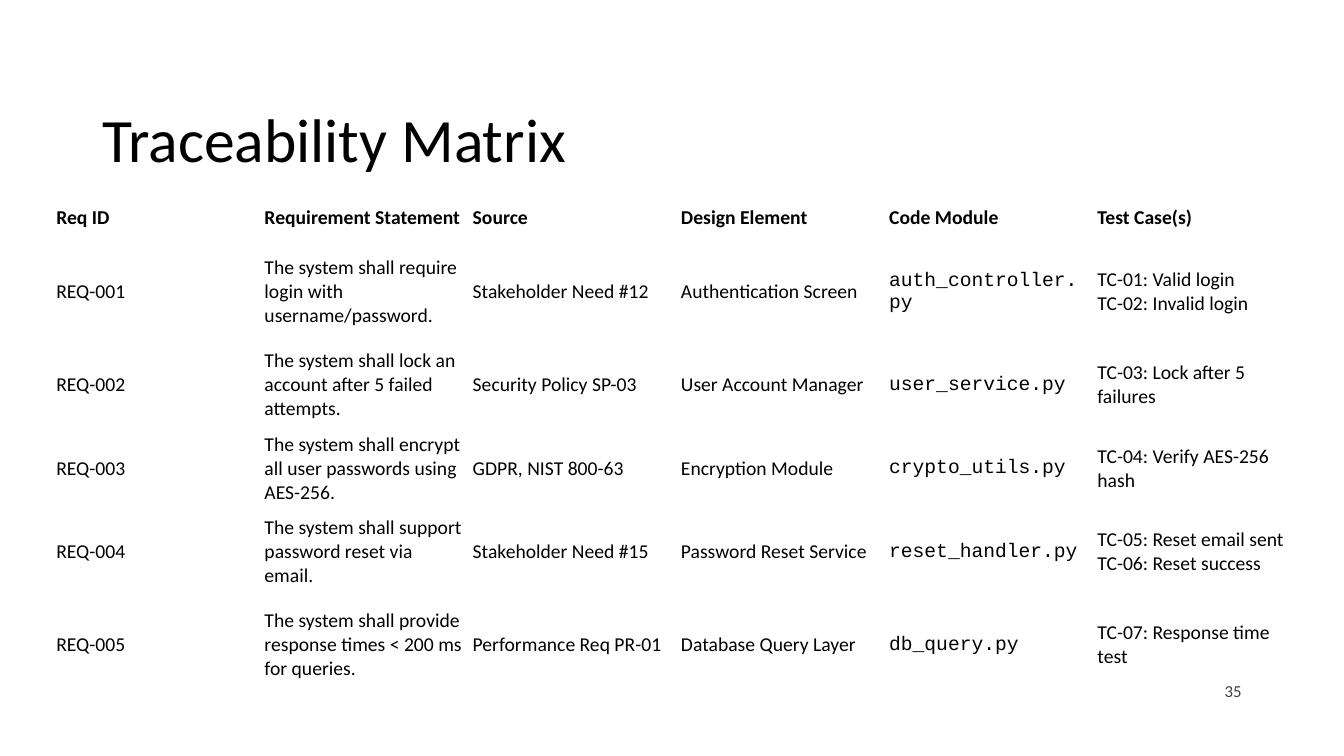
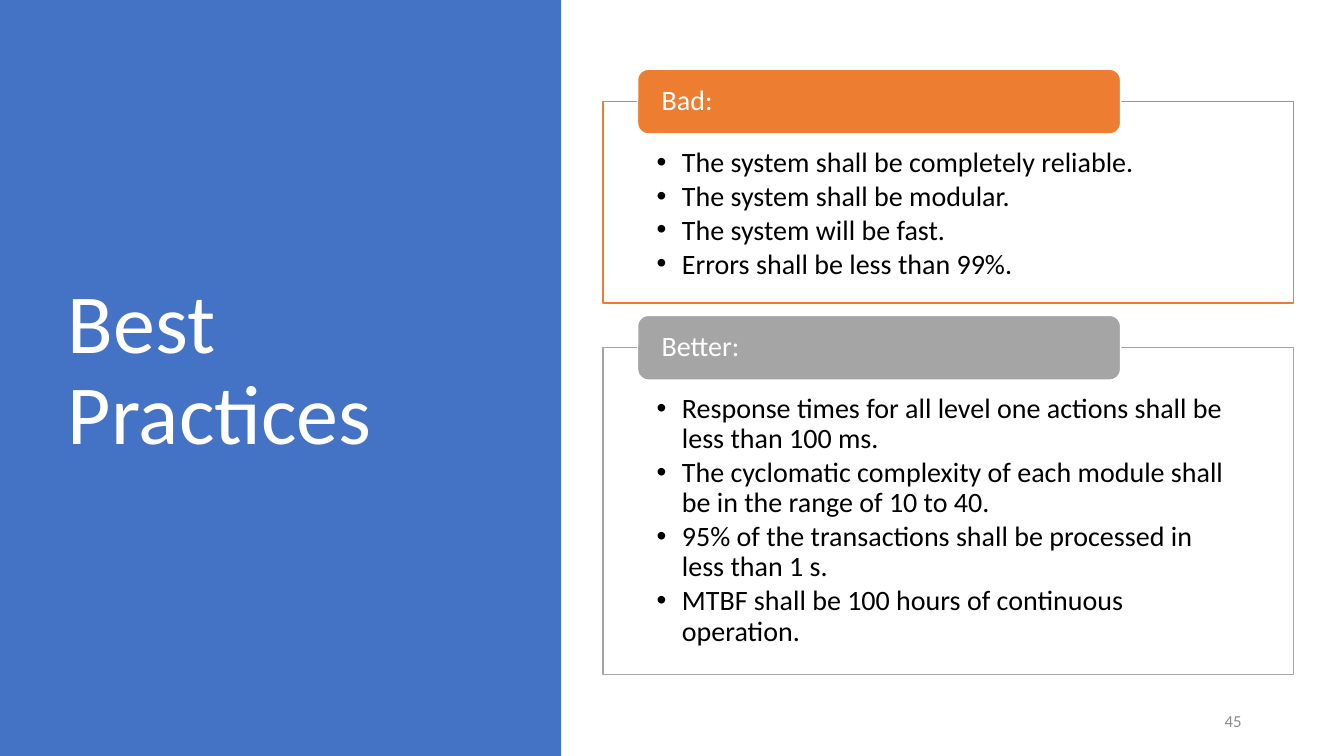
import pptx
import pptx.dml.color
import pptx.enum.shapes
import pptx.enum.text
import pptx.oxml.ns
import pptx.util
from lxml import etree

RGBColor = pptx.dml.color.RGBColor
Anchor = pptx.enum.text.MSO_ANCHOR
Align = pptx.enum.text.PP_ALIGN
Shapes = pptx.enum.shapes.MSO_SHAPE

BLACK = RGBColor(0x00, 0x00, 0x00)
WHITE = RGBColor(0xFF, 0xFF, 0xFF)
BLUE = RGBColor(0x44, 0x72, 0xC4)
ORANGE = RGBColor(0xED, 0x7D, 0x31)
GREY = RGBColor(0xA5, 0xA5, 0xA5)
DARK_GREY = RGBColor(0x40, 0x40, 0x40)
MID_GREY = RGBColor(0x8C, 0x8C, 0x8C)

# The slide is a grid of 160 columns by 90 rows of square cells
COLUMNS, ROWS = 160, 90
CELL = pptx.util.Inches(7.5) / ROWS
TEXT_INSETS = (1.2, 0.6, 1.2, 0.6)


def grid(*lengths):
    return [round(length * CELL) for length in lengths]


class Deck:
    """Holds the shared style and the slide being built."""

    body_font = "Calibri"
    code_font = "Courier New"

    def __init__(self):
        self.presentation = pptx.Presentation()
        self.presentation.slide_width, self.presentation.slide_height = grid(COLUMNS, ROWS)
        self.slide = None

    def new_slide(self):
        self.slide = self.presentation.slides.add_slide(self.presentation.slide_layouts[6])

    def style(self, paragraph, size, color, bold=False, font=body_font):
        paragraph.font.name = font
        paragraph.font.size = pptx.util.Pt(size)
        paragraph.font.bold = bold
        paragraph.font.color.rgb = color

    def fill_text(self, frame, lines, size, color, anchor=Anchor.MIDDLE, insets=TEXT_INSETS,
                  align=Align.LEFT, spacing=0.9, after=0, bullets=False):
        frame.word_wrap = True
        frame.vertical_anchor = anchor
        (frame.margin_left, frame.margin_top,
         frame.margin_right, frame.margin_bottom) = grid(*insets)
        for index, line in enumerate(lines):
            paragraph = frame.add_paragraph() if index else frame.paragraphs[0]
            paragraph.text = line
            if bullets:
                self.bullet(paragraph)
            paragraph.alignment = align
            paragraph.line_spacing = spacing
            paragraph.space_after = pptx.util.Pt(after)
            self.style(paragraph, size, color)

    def bullet(self, paragraph):
        properties = paragraph._p.get_or_add_pPr()
        indent = grid(3)[0]
        properties.set("marL", str(indent))
        properties.set("indent", str(-indent))
        qualified = pptx.oxml.ns.qn
        etree.SubElement(properties, qualified("a:buFont"), typeface="Arial")
        etree.SubElement(properties, qualified("a:buChar"), char="•")

    def text(self, box, line, size, color, **options):
        shape = self.slide.shapes.add_textbox(*grid(*box))
        self.fill_text(shape.text_frame, [line], size, color, **options)

    def title(self, box, line, size=44, color=BLACK):
        self.text(box, line, size, color)

    def page_number(self, number, top, color):
        self.text((113, top, 36, 4.8), number, 12, color,
                  align=Align.RIGHT, spacing=1, after=6)

    def box(self, kind, box, fill, line=None):
        shape = self.slide.shapes.add_shape(kind, *grid(*box))
        shape.shadow.inherit = False
        shape.fill.solid()
        shape.fill.fore_color.rgb = fill
        if line is None:
            shape.line.fill.background()
        else:
            shape.line.color.rgb = line
            shape.line.width = pptx.util.Pt(1)
        return shape

    def panel(self, top, height, heading, lines, color):
        left, tab_height = 71.8, 7.7
        frame = self.box(Shapes.RECTANGLE, (left, top, 82.2, height), WHITE, color)
        self.fill_text(frame.text_frame, lines, 20, BLACK, anchor=Anchor.TOP,
                       insets=(6.38, 5.54, 6.38, 1.9), after=2.6, bullets=True)
        # The heading tab straddles the top edge of the frame
        tab = self.box(Shapes.ROUNDED_RECTANGLE,
                       (left + 4.1, top - tab_height / 2, 57.5, tab_height), color, WHITE)
        self.fill_text(tab.text_frame, [heading], 20, WHITE, insets=(2.5, 0, 2.5, 0))

    def table(self, left, top, column_width, row_heights, rows, code_column):
        count = len(rows[0])
        table = self.slide.shapes.add_table(
            len(rows), count,
            *grid(left, top, column_width * count, sum(row_heights))).table
        table.first_row = table.horz_banding = False
        for column in table.columns:
            column.width = grid(column_width)[0]
        for row_index, (row, height) in enumerate(zip(rows, row_heights)):
            table.rows[row_index].height = grid(height)[0]
            for column_index, value in enumerate(row):
                cell = table.cell(row_index, column_index)
                cell.fill.background()
                cell.vertical_anchor = Anchor.MIDDLE
                cell.margin_left = cell.margin_right = grid(0.6)[0]
                cell.margin_top = cell.margin_bottom = grid(0.36)[0]
                paragraph = cell.text_frame.paragraphs[0]
                paragraph.text = value
                is_code = row_index > 0 and column_index == code_column
                self.style(paragraph, 14, BLACK, bold=row_index == 0,
                           font=self.code_font if is_code else self.body_font)


REQUIREMENTS = [
    ("Req ID", "Requirement Statement", "Source", "Design Element", "Code Module",
     "Test Case(s)"),
    ("REQ-001", "The system shall require login with username/password.",
     "Stakeholder Need #12", "Authentication Screen", "auth_controller.py",
     "TC-01: Valid login \vTC-02: Invalid login"),
    ("REQ-002", "The system shall lock an account after 5 failed attempts.",
     "Security Policy SP-03", "User Account Manager", "user_service.py",
     "TC-03: Lock after 5 failures"),
    ("REQ-003", "The system shall encrypt all user passwords using AES-256.",
     "GDPR, NIST 800-63", "Encryption Module", "crypto_utils.py",
     "TC-04: Verify AES-256 hash"),
    ("REQ-004", "The system shall support password reset via email.",
     "Stakeholder Need #15", "Password Reset Service", "reset_handler.py",
     "TC-05: Reset email sent \vTC-06: Reset success"),
    ("REQ-005", "The system shall provide response times < 200 ms for queries.",
     "Performance Req PR-01", "Database Query Layer", "db_query.py",
     "TC-07: Response time test"),
]
BAD = [
    "The system shall be completely reliable.",
    "The system shall be modular.",
    "The system will be fast.",
    "Errors shall be less than 99%.",
]
BETTER = [
    "Response times for all level one actions shall be less than 100 ms.",
    "The cyclomatic complexity of each module shall be in the range of 10 to 40.",
    "95% of the transactions shall be processed in less than 1 s.",
    "MTBF shall be 100 hours of continuous operation.",
]


def traceability_slide(deck):
    deck.new_slide()
    deck.title((11, 8.3, 138, 17.4), "Traceability Matrix")
    deck.table(6.1, 23.25, 24.79, (5.4, 12.2, 9.95, 9.95, 9.95, 12.2),
               REQUIREMENTS, code_column=4)
    deck.page_number("35", 79.8, DARK_GREY)


def best_practices_slide(deck):
    deck.new_slide()
    deck.box(Shapes.RECTANGLE, (0, 0, 66.8, ROWS), BLUE)
    deck.title((6.9, 8.2, 49.9, 72.2), "Best Practices", 60, WHITE)
    deck.page_number("45", 83.4, MID_GREY)
    # Two panels stacked with a fixed gap
    top, gap = 12.1, 5.3
    for heading, lines, color, height in (("Bad:", BAD, ORANGE, 24),
                                          ("Better:", BETTER, GREY, 38.9)):
        deck.panel(top, height, heading, lines, color)
        top += height + gap


def main():
    deck = Deck()
    traceability_slide(deck)
    best_practices_slide(deck)
    deck.presentation.save("out.pptx")


if __name__ == "__main__":
    main()
